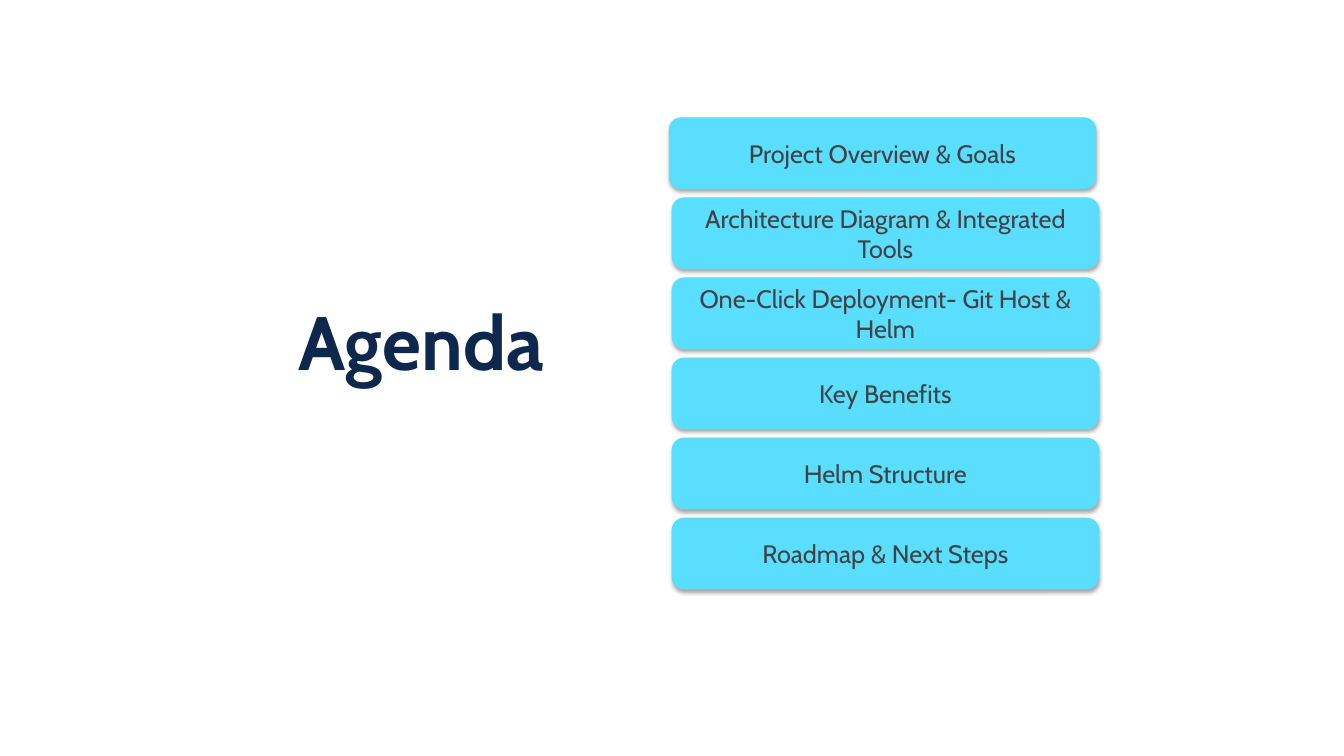
from lxml.etree import SubElement
from pptx import Presentation
from pptx.dml.color import RGBColor
from pptx.enum.shapes import MSO_SHAPE as Shape
from pptx.enum.text import MSO_ANCHOR as Anchor, PP_ALIGN as Align
from pptx.oxml.ns import qn
from pptx.util import Pt

NAVY = RGBColor(0x0D, 0x27, 0x4D)
CYAN = RGBColor(0x5A, 0xDE, 0xFF)
GRAY = RGBColor(0x41, 0x42, 0x44)
BLACK = RGBColor(0, 0, 0)
FONT = "Cabin"

TOPICS = [
    "Project Overview & Goals",
    "Architecture Diagram & Integrated Tools",
    "One-Click Deployment- Git Host & Helm",
    "Key Benefits",
    "Helm Structure",
    "Roadmap & Next Steps",
]
TOP = 84.2
STEP = 57.2


def set_text(box, text, size, color, anchor):
    frame = box.text_frame
    frame.word_wrap = True
    frame.vertical_anchor = anchor
    frame.margin_left = frame.margin_right = Pt(3.6)
    frame.margin_top = frame.margin_bottom = Pt(3.6)
    para = frame.paragraphs[0]
    para.text = text
    para.font.name = FONT
    para.font.size = Pt(size)
    para.font.color.rgb = color
    return para


def add_shadow(shape):
    shape.shadow.inherit = False
    effects = shape.element.spPr.find(qn("a:effectLst"))
    shadow = SubElement(effects, qn("a:outerShdw"), blurRad=str(Pt(3.1)),
                        dist=str(Pt(1.8)), dir="5400000", rotWithShape="0")
    color = SubElement(shadow, qn("a:srgbClr"), val=str(BLACK))
    SubElement(color, qn("a:alpha"), val="35000")


def add_title(slide, text):
    box = slide.shapes.add_textbox(Pt(209.5), Pt(218.2), Pt(216.7), Pt(61.9))
    para = set_text(box, text, 54, NAVY, Anchor.BOTTOM)
    para.font.bold = True
    para.line_spacing = 0.9


def add_topic(slide, text, left, top):
    card = slide.shapes.add_shape(Shape.ROUNDED_RECTANGLE, Pt(left), Pt(top),
                                  Pt(304.5), Pt(50.4))
    card.fill.solid()
    card.fill.fore_color.rgb = CYAN
    card.line.color.rgb = CYAN
    card.line.width = Pt(0.75)
    add_shadow(card)
    para = set_text(card, text, 18, GRAY, Anchor.MIDDLE)
    para.alignment = Align.CENTER


def main():
    deck = Presentation()
    deck.slide_width, deck.slide_height = Pt(960), Pt(540)
    slide = deck.slides.add_slide(deck.slide_layouts[6])
    add_title(slide, "Agenda")
    for row, topic in enumerate(TOPICS):
        left = 480.2 if row else 478.1
        add_topic(slide, topic, left, TOP + row * STEP)
    deck.save("out.pptx")


if __name__ == "__main__":
    main()
